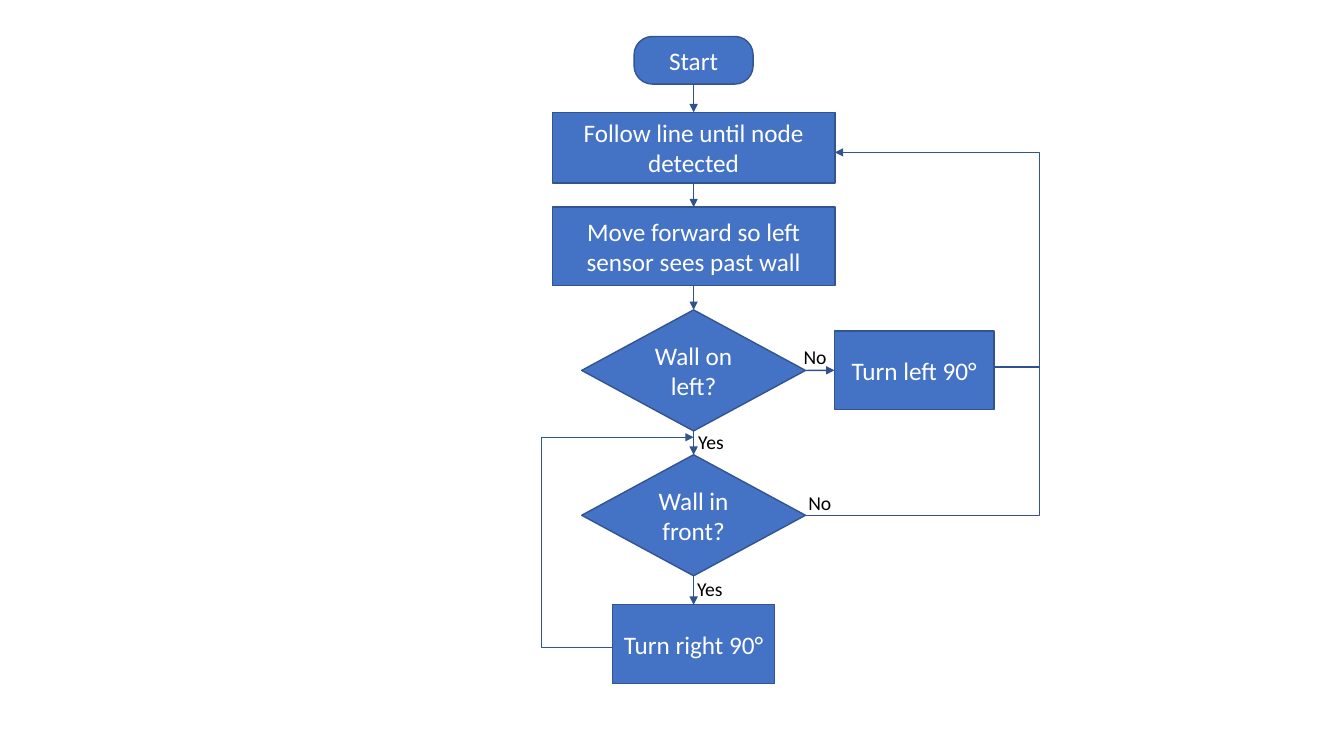
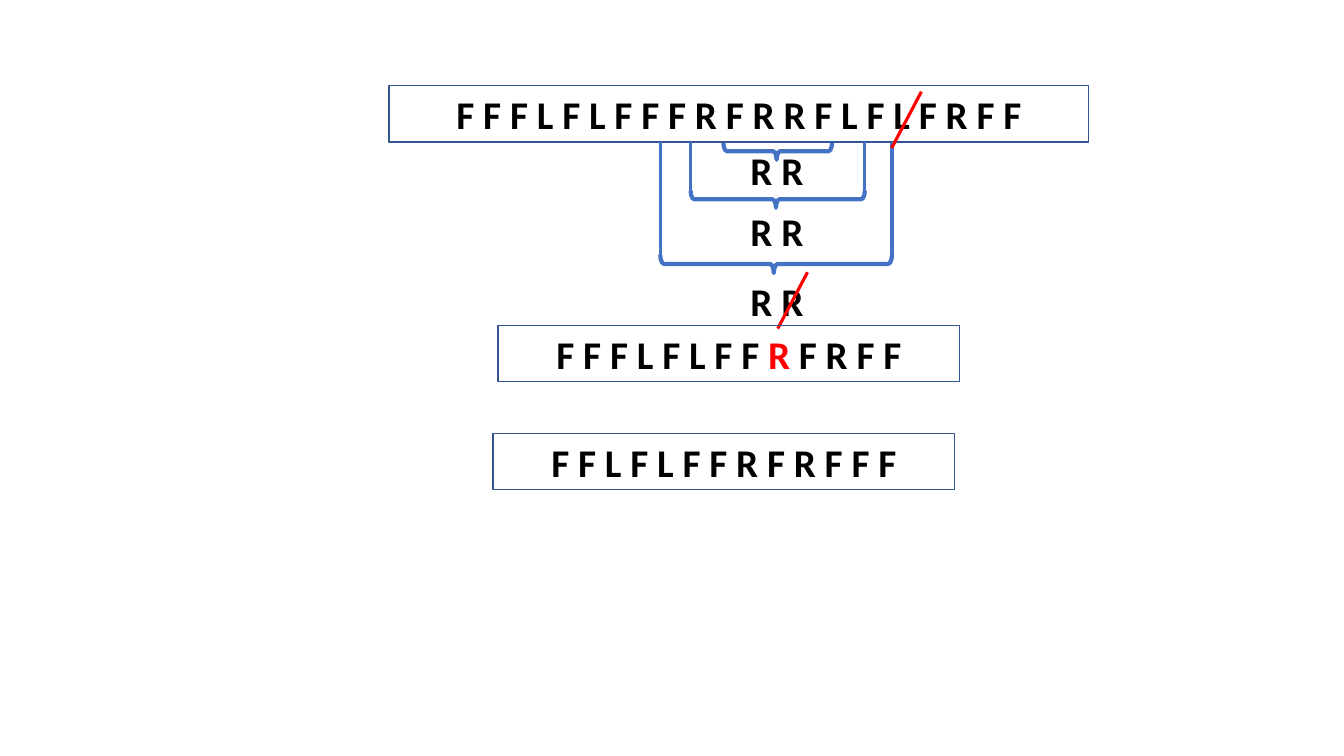
from lxml.etree import SubElement
from pptx import Presentation
from pptx.dml.color import RGBColor
from pptx.enum.shapes import MSO_CONNECTOR as Link, MSO_SHAPE as Preset
from pptx.enum.text import MSO_ANCHOR as Anchor, PP_ALIGN as Align
from pptx.oxml.ns import qn
from pptx.util import Cm, Pt

FONT = "Calibri"
BLUE, OUTLINE, ARROW = "4472C4", "325491", "2F528F"
BLACK, WHITE, RED = "000000", "FFFFFF", "FF0000"
TOP, LEFT, BOTTOM, RIGHT = range(4)
AXIS = 17.48
ROW_HEIGHT = 1.42


def colour(code):
    """Turn a hex string into a colour."""
    return RGBColor.from_string(code)


def write(shape, text, size, code, bold=False, marked=None):
    """Write centred text, with one letter optionally in red."""
    frame = shape.text_frame
    frame.word_wrap = True
    frame.vertical_anchor = Anchor.MIDDLE
    para = frame.paragraphs[0]
    para.alignment = Align.CENTER
    parts = [text] if marked is None else [text[:marked], text[marked], text[marked + 1:]]
    for index, part in enumerate(parts):
        span = para.add_run()
        span.text = part
        span.font.name, span.font.size, span.font.bold = FONT, Pt(size), bold
        span.font.color.rgb = colour(RED if index == 1 else code)


def outline(shape, code, width, arrow=False):
    """Set the line of a shape or connector, with an optional arrowhead."""
    shape.line.color.rgb = colour(code)
    shape.line.width = Pt(width)
    if arrow:
        line = shape.element.spPr.find(qn("a:ln"))
        SubElement(line, qn("a:tailEnd"), type="triangle")


def add_box(page, preset, centre, top, width, height, fill=None):
    """Add an outlined preset shape centred on a vertical axis."""
    box = page.shapes.add_shape(preset, Cm(centre - width / 2), Cm(top), Cm(width), Cm(height))
    box.shadow.inherit = False
    if fill:
        box.fill.solid()
        box.fill.fore_color.rgb = colour(fill)
    else:
        box.fill.background()
    outline(box, OUTLINE, 1)
    return box


def add_step(page, preset, text, centre, top, width, height):
    """Add a filled flowchart step."""
    step = add_box(page, preset, centre, top, width, height, BLUE)
    write(step, text, 18, WHITE)
    return step


def add_label(page, text, centre, top, width, height, size, bold=False):
    """Add a free-standing centred text."""
    label = page.shapes.add_textbox(Cm(centre - width / 2), Cm(top), Cm(width), Cm(height))
    write(label, text, size, BLACK, bold)


def add_line(page, start, end, code, width, arrow=False):
    """Add a straight line between two points."""
    line = page.shapes.add_connector(Link.STRAIGHT, *(Cm(value) for value in (*start, *end)))
    outline(line, code, width, arrow)
    SubElement(line.element.spPr, qn("a:effectLst"))
    return line


def join(page, source, source_side, target, target_side):
    """Glue an arrow between two flowchart steps."""
    line = add_line(page, (0, 0), (0, 0), ARROW, 1, True)
    line.begin_connect(source, source_side)
    line.end_connect(target, target_side)


def add_loop(page, points):
    """Add an open bent path that ends in an arrowhead."""
    start, *rest = [(Cm(x), Cm(y)) for x, y in points]
    builder = page.shapes.build_freeform(*start)
    builder.add_line_segments(rest, close=False)
    loop = builder.convert_to_shape()
    loop.shadow.inherit = False
    loop.fill.background()
    outline(loop, OUTLINE, 1, True)


def add_brace(page, centre, middle, length, depth):
    """Add a brace that points down."""
    brace = add_box(page, Preset.LEFT_BRACE, centre, middle - length / 2, depth, length)
    brace.rotation = 270
    brace.adjustments[0], brace.adjustments[1] = 0.21, 0.49
    outline(brace, BLUE, 3)


def add_route(page, text, centre, top, width, marked=None):
    """Add a framed row of route letters."""
    route = add_box(page, Preset.RECTANGLE, centre, top, width, ROW_HEIGHT)
    write(route, text, 28, BLACK, True, marked)


def build_flowchart(page):
    """Draw the wall-following flowchart."""
    column = [
        add_step(page, preset, text, AXIS, top, width, height)
        for preset, text, top, width, height in (
            (Preset.ROUNDED_RECTANGLE, "Start", 0.92, 3, 1.2),
            (Preset.RECTANGLE, "Follow line until node detected", 2.83, 7.12, 1.78),
            (Preset.RECTANGLE, "Move forward so left sensor sees past wall", 5.22, 7.12, 1.98),
            (Preset.DIAMOND, "Wall on left?", 7.81, 5.64, 3.05),
            (Preset.DIAMOND, "Wall in front?", 11.46, 5.64, 3.05),
            (Preset.RECTANGLE, "Turn right 90°", 15.24, 4.09, 1.98),
        )
    ]
    column[0].adjustments[0] = 0.385
    for upper, lower in zip(column, column[1:]):
        join(page, upper, BOTTOM, lower, TOP)
    turn_left = add_step(page, Preset.RECTANGLE, "Turn left 90°", 23.04, 8.34, 4.02, 1.98)
    join(page, column[3], RIGHT, turn_left, LEFT)
    add_loop(page, [(15.42, 16.31), (13.64, 16.31), (13.64, 11.02), (AXIS, 11.02)])
    add_loop(page, [(20.3, 12.99), (26.19, 12.99), (26.19, 3.84), (21.04, 3.84)])
    add_line(page, (25.05, 9.25), (26.19, 9.25), ARROW, 1)
    for text, centre, top in (
        ("Yes", 17.92, 10.54), ("Yes", 17.89, 14.25),
        ("No", 20.66, 12.07), ("No", 20.54, 8.41),
    ):
        add_label(page, text, centre, top, 1.7, 1.17, 14)


def build_reduction(page):
    """Draw how the route is shortened by cancelling turns."""
    route_top = 2.16
    route_bottom = route_top + ROW_HEIGHT
    add_route(page, "F F F L F L F F F R F R R F L F L F R F F", 18.62, route_top, 17.63)
    for centre, middle, length, depth, has_legs in (
        (19.6, 3.81, 2.74, 0.43, False),
        (19.6, 5.02, 4.39, 0.43, True),
        (19.56, 6.65, 5.84, 0.46, True),
    ):
        add_brace(page, centre, middle, length, depth)
        if has_legs:
            for x in (centre - length / 2, centre + length / 2):
                add_line(page, (x, middle - depth / 2), (x, route_bottom), BLUE, 2.25)
    for top in (route_bottom, 5.11, 6.86):
        add_label(page, "R R", 19.58, top, 2.74, ROW_HEIGHT, 28, True)
    for x, top in ((20.35, 6.86), (23.22, 2.31)):
        add_line(page, (x, top), (x - 0.75, top + ROW_HEIGHT), RED, 2.25)
    add_route(page, "F F F L F L F F R F R F F", 18.37, 8.2, 11.63, 16)
    add_route(page, "F F L F L F F R F R F F F", 18.24, 10.92, 11.63)


def main():
    """Build and save the deck."""
    deck = Presentation()
    deck.slide_width, deck.slide_height = Cm(33.87), Cm(19.05)
    for build in (build_flowchart, build_reduction):
        build(deck.slides.add_slide(deck.slide_layouts[6]))
    deck.save("out.pptx")


if __name__ == "__main__":
    main()
